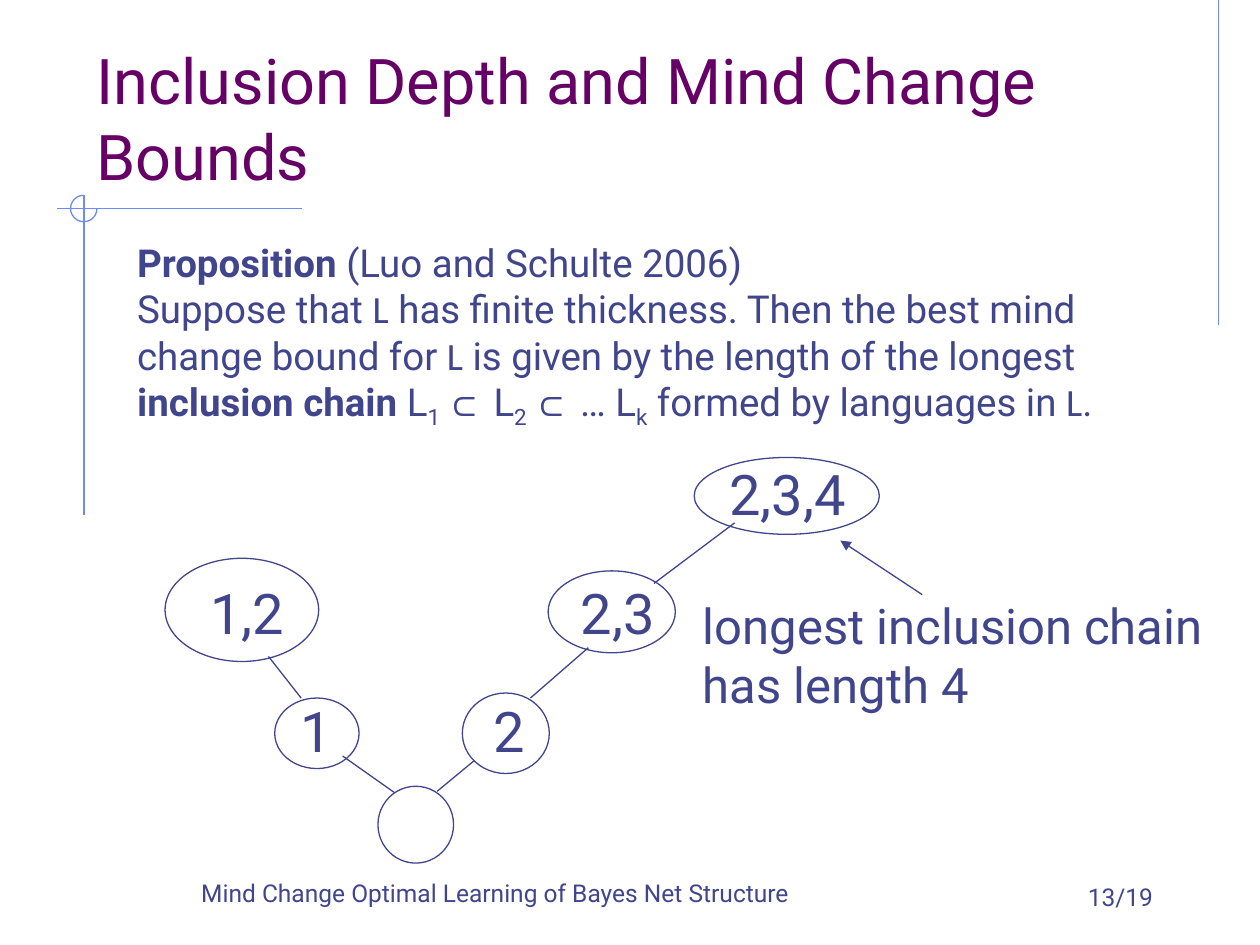
from lxml import etree
from pptx import Presentation
from pptx.dml.color import RGBColor
from pptx.enum.shapes import MSO_CONNECTOR, MSO_SHAPE
from pptx.enum.text import MSO_ANCHOR, PP_ALIGN
from pptx.oxml.ns import qn
from pptx.util import Pt

LEFT, MID, RIGHT = PP_ALIGN.LEFT, PP_ALIGN.CENTER, PP_ALIGN.RIGHT
TOP, LOW = MSO_ANCHOR.TOP, MSO_ANCHOR.BOTTOM
OVAL, ARC = MSO_SHAPE.OVAL, MSO_SHAPE.ARC
LINE = MSO_CONNECTOR.STRAIGHT

COLORS = {"ink": "40458C", "title": "660066", "rule": "6F89F7"}
STYLES = {
    "text": {"name": "Roboto"},
    "bold": {"name": "Roboto", "bold": True},
    "set": {"name": "Calibri"},
    "math": {"name": "Arial"},
    "sub": {"name": "Roboto"},
}
CLAIM = [
    ("Proposition", "bold"), (" (Luo and Schulte 2006)", "text"), ("\n", "text"),
    ("Suppose that ", "text"), ("L", "set"),
    (" has finite thickness. Then the best mind change bound for ", "text"),
    ("L", "set"), (" is given by the length of the longest ", "text"),
    ("inclusion chain", "bold"), (" L", "text"), ("1 ", "sub"), ("⊂", "math"),
    (" L", "text"), ("2 ", "sub"), ("⊂", "math"), (" … L", "text"), ("k", "sub"),
    (" formed by languages in ", "text"), ("L", "set"), (".", "text"),
]
NODES = [
    ((94.3, 319, 87.8, 59), "1,2", (113, 326.9, 59.8)),
    ((157, 398.9, 48.2, 40.3), "1", (164.9, 394.6, 32.4)),
    ((264.2, 396, 49.7, 46), "2", (275, 394.6, 31.7)),
    ((313.2, 326.2, 72.7, 46.8), "2,3", (324.7, 326.9, 71.3)),
    ((396.7, 261.4, 105.8, 43.9), "2,3,4", (409.7, 259.2, 95.8)),
    ((216, 449.3, 43.2, 43.9), "", None),
]
EDGES = [
    (249.8, 452.2, 270.7, 434.9), (303.1, 398.9, 336.2, 370.1),
    (373.7, 333.4, 419.8, 298.8), (225.4, 452.9, 195.8, 432),
    (172.1, 398.9, 153.4, 375.1),
]
RULES = [
    (696.2, 0, 696.2, 185.8), (172.8, 119.2, 32.4, 119.2),
    (48, 111.6, 48, 294.5),
]


def color(key):
    """Return the named colour."""
    return RGBColor.from_string(COLORS[key])


def apply(item, vals):
    """Set each format value on the item."""
    for name, val in vals.items():
        setattr(item, name, val)


def write(slide, box, runs, size, ink="ink", align=LEFT, anchor=TOP, inset=3.6):
    """Add a text box made of styled runs."""
    frame = slide.shapes.add_textbox(*map(Pt, box)).text_frame
    apply(frame, {"word_wrap": True, "vertical_anchor": anchor,
                  "margin_top": Pt(inset), "margin_bottom": Pt(inset)})
    para = frame.paragraphs[0]
    para.alignment = align
    para.font.size = Pt(size)
    for text, style in runs:
        if text == "\n":
            para.add_line_break()
            continue
        run = para.add_run()
        run.text = text
        apply(run.font, {"size": Pt(size), **STYLES[style]})
        run.font.color.rgb = color(ink)
        if style == "sub":
            run.font._element.set("baseline", "-25000")


def stroke(line, ink):
    """Give a thin line its colour."""
    line.width = Pt(0.75)
    line.color.rgb = color(ink)


def link(slide, ends, ink="ink", arrow=False):
    """Draw a straight line, with an arrowhead if asked."""
    item = slide.shapes.add_connector(LINE, *map(Pt, ends))
    stroke(item.line, ink)
    props = item._element.spPr
    if arrow:
        etree.SubElement(props.find(qn("a:ln")), qn("a:tailEnd"), type="triangle")
    etree.SubElement(props, qn("a:effectLst"))


def outline(slide, kind, box, ink="ink"):
    """Draw an unfilled shape and return it."""
    item = slide.shapes.add_shape(kind, *map(Pt, box))
    item.shadow.inherit = False
    item.fill.background()
    stroke(item.line, ink)
    return item


def main():
    """Build the slide and save it."""
    deck = Presentation()
    apply(deck, {"slide_width": Pt(720), "slide_height": Pt(540)})
    slide = deck.slides.add_slide(deck.slide_layouts[6])
    for ends in RULES:
        link(slide, ends, "rule")
    arc = outline(slide, ARC, (40.3, 111.6, 15.1, 15.1), "rule")
    arc.adjustments[0], arc.adjustments[1] = 0, 162

    write(slide, (48.2, 23.8, 612, 90),
          [("Inclusion Depth and Mind Change Bounds", "text")],
          36, "title", anchor=LOW)
    write(slide, (71.3, 133.2, 607.7, 116.6), CLAIM, 22)
    for box, label, (spot) in NODES:
        outline(slide, OVAL, box)
        if label:
            left, top, width = spot
            write(slide, (left, top, width, 46), [(label, "text")], 32)
    for ends in EDGES:
        link(slide, ends)
    write(slide, (394.6, 337, 325.4, 74.9),
          [("longest inclusion chain has length 4", "text")], 28)
    link(slide, (527, 339.8, 480.2, 308.9), arrow=True)
    write(slide, (85, 497.5, 396, 24.5),
          [("Mind Change Optimal Learning of Bayes Net Structure", "text")],
          14, align=MID, anchor=LOW)
    write(slide, (516.2, 504, 149.8, 36), [("13/19", "text")],
          14, align=RIGHT, inset=0)
    deck.save("out.pptx")


if __name__ == "__main__":
    main()
